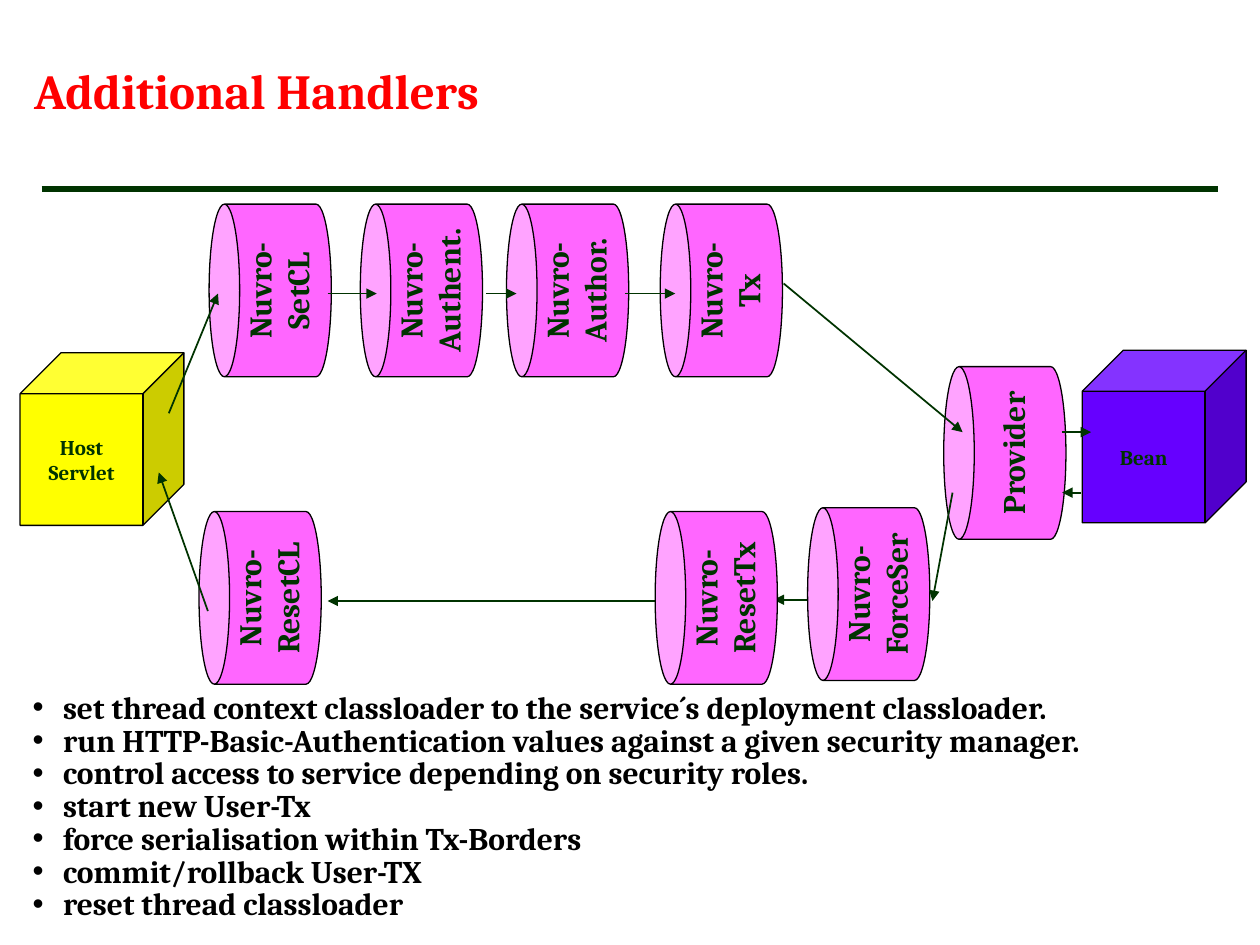
from dataclasses import dataclass

from lxml import etree
from pptx import Presentation
from pptx.dml.color import RGBColor
from pptx.enum.shapes import MSO_CONNECTOR, MSO_SHAPE
from pptx.enum.text import MSO_ANCHOR, MSO_AUTO_SIZE, PP_ALIGN
from pptx.oxml.ns import qn
from pptx.util import Inches, Pt

STRAIGHT = MSO_CONNECTOR.STRAIGHT
CUBE, CAN = MSO_SHAPE.CUBE, MSO_SHAPE.CAN
MIDDLE = MSO_ANCHOR.MIDDLE
LEFT, CENTER = PP_ALIGN.LEFT, PP_ALIGN.CENTER
NO_FIT = MSO_AUTO_SIZE.NONE


@dataclass(frozen=True)
class Theme:
    font: str = "Cambria"
    title: str = "FF0000"
    green: str = "003300"
    black: str = "000000"
    yellow: str = "FFFF00"
    violet: str = "6600FF"
    pink: str = "FF66FF"
    head: int = 28
    body: int = 18
    small: int = 12


theme = Theme()


def style(frame, size, color, align):
    """Give every paragraph of a text frame the same bold look."""
    frame.vertical_anchor = MIDDLE
    frame.auto_size = NO_FIT
    for par in frame.paragraphs:
        par.alignment = align
        for run in par.runs:
            run.font.name = theme.font
            run.font.size = Pt(size)
            run.font.bold = True
            run.font.color.rgb = RGBColor.from_string(color)


def link(start, end, width=1, arrow=True):
    line = shapes.add_connector(STRAIGHT, *map(Inches, start + end))
    line.line.color.rgb = RGBColor.from_string(theme.green)
    line.line.width = Pt(width)
    if arrow:
        tail = etree.SubElement(line.line._ln, qn("a:tailEnd"))
        tail.set("type", "triangle")
    etree.SubElement(line._element.spPr, qn("a:effectLst"))


deck = Presentation()
deck.slide_width, deck.slide_height = Inches(10), Inches(7.5)
slide = deck.slides.add_slide(deck.slide_layouts[1])
shapes = slide.shapes

# Title and rule
title = shapes.title
title.left, title.top = Inches(0.17), Inches(0.17)
title.width, title.height = Inches(7.25), Inches(1.08)
title.text_frame.text = "Additional Handlers"
style(title.text_frame, theme.head, theme.title, LEFT)
link((0.33, 1.5), (9.67, 1.5), width=3, arrow=False)

# Arrows that start or end behind a handler
for start, end in [
    ((5.36, 4.77), (2.6, 4.77)),
    ((6.54, 4.76), (6.14, 4.76)),
]:
    link(start, end)

# End points and handlers: kind, left, top, fill, label
top_row, low_row = 1.82, 4.26
nodes = [
    (CUBE, 0.16, 2.8, theme.yellow, "Host\nServlet"),
    (CUBE, 8.59, 2.78, theme.violet, "Bean"),
    (CAN, 1.46, top_row, theme.pink, "Nuvro-\nSetCL"),
    (CAN, 2.66, top_row, theme.pink, "Nuvro-\nAuthent."),
    (CAN, 3.82, top_row, theme.pink, "Nuvro-\nAuthor."),
    (CAN, 5.04, top_row, theme.pink, "Nuvro-\nTx"),
    (CAN, 7.29, 3.11, theme.pink, "Provider"),
    (CAN, 6.21, 4.23, theme.pink, "Nuvro-\nForceSer"),
    (CAN, 5, low_row, theme.pink, "Nuvro-\nResetTx"),
    (CAN, 1.38, low_row, theme.pink, "Nuvro-\nResetCL"),
]
sizes = {CUBE: (1.3, 1.37), CAN: (1.37, 0.97)}
for kind, left, top, fill, label in nodes:
    node = shapes.add_shape(kind, *map(Inches, (left, top) + sizes[kind]))
    node.adjustments[0] = 0.25
    node.rotation = 270 if kind == CAN else 0
    node.shadow.inherit = False
    node.fill.solid()
    node.fill.fore_color.rgb = RGBColor.from_string(fill)
    node.line.color.rgb = RGBColor.from_string(theme.black)
    node.line.width = Pt(0.75)
    node.text_frame.text = label
    node.text_frame.word_wrap = False
    size = theme.body if kind == CAN else theme.small
    style(node.text_frame, size, theme.green, CENTER)

# Arrows in front, along the request and back
for start, end in [
    ((1.34, 3.28), (1.73, 2.33)),
    ((2.6, 2.33), (2.99, 2.33)),
    ((3.86, 2.33), (4.1, 2.33)),
    ((4.96, 2.33), (5.36, 2.33)),
    ((6.22, 2.25), (7.64, 3.43)),
    ((8.43, 3.43), (8.66, 3.43)),
    ((8.58, 3.91), (8.43, 3.91)),
    ((7.56, 3.91), (7.4, 4.77)),
    ((1.65, 4.85), (1.26, 3.75)),
]:
    link(start, end)

# What each handler does
tasks = [
    "set thread context classloader to the service´s deployment classloader.",
    "run HTTP-Basic-Authentication values against a given security manager.",
    "control access to service depending on security roles.",
    "start new User-Tx",
    "force serialisation within Tx-Borders",
    "commit/rollback User-TX",
    "reset thread classloader",
]
body = slide.placeholders[1]
body.left, body.top = Inches(0.16), Inches(5.45)
body.width, body.height = Inches(9.43), Inches(1.92)
body.text_frame.text = "\n".join(tasks)
style(body.text_frame, theme.body, theme.black, LEFT)
for par in body.text_frame.paragraphs:
    par.space_before = Pt(0)
    par.line_spacing = Inches(0.26)
    props = par._p.get_or_add_pPr()
    props.set("marL", str(Inches(0.24)))
    props.set("indent", str(-Inches(0.24)))

deck.save("out.pptx")
